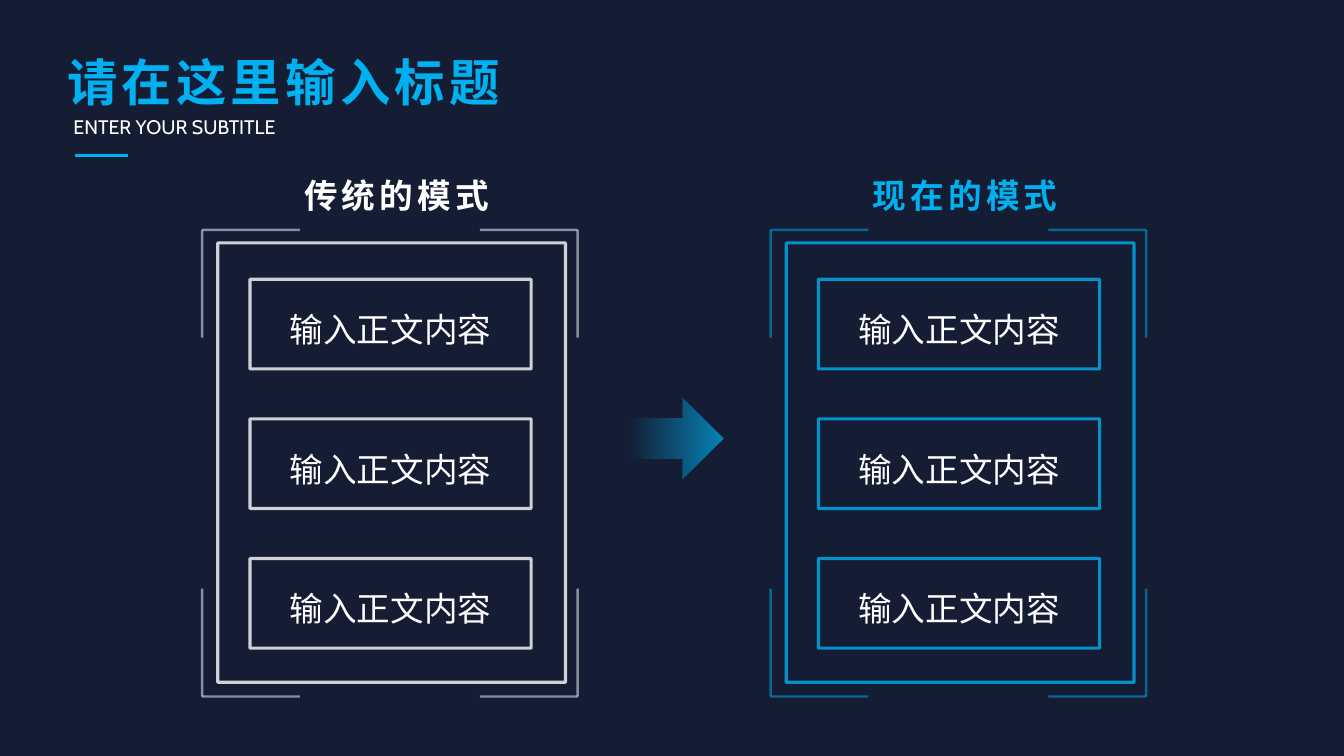
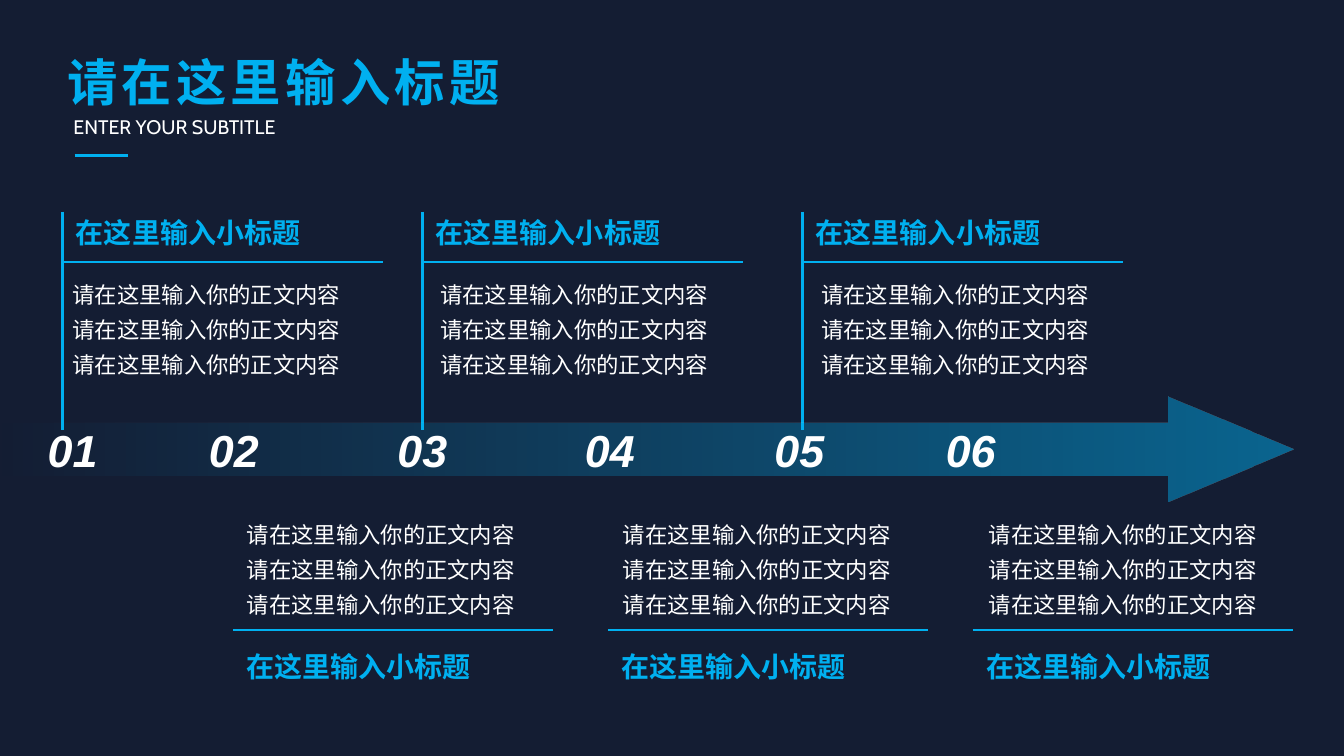
from itertools import product

from lxml.etree import SubElement
from pptx import Presentation
from pptx.dml.color import RGBColor as Color
from pptx.enum.shapes import MSO_CONNECTOR as Connector, MSO_SHAPE as Shape
from pptx.enum.text import MSO_ANCHOR as Anchor, PP_ALIGN as Align
from pptx.oxml.ns import qn
from pptx.util import Inches, Pt

COLORS = {"navy": "141D33", "cyan": "00B0F0", "white": "FFFFFF"}
CJK_FONT = "Noto Sans CJK JP"
COLUMNS, ROWS = 160, 90


def color(name):
    return Color.from_string(COLORS[name])


def set_opacity(shape, *percents):
    """Give the colours of a shape's fill or line their opacity, in order."""
    for node, percent in zip(shape.element.spPr.iter(qn("a:srgbClr")), percents):
        SubElement(node, qn("a:alpha"), val=str(percent * 1000))


class Deck:
    """Shared style and the current slide; lengths are grid columns and rows."""

    def __init__(self):
        self.presentation = Presentation()
        self.presentation.slide_width = Inches(13.333)
        self.presentation.slide_height = Inches(7.5)
        self.cell_width = self.presentation.slide_width / COLUMNS
        self.cell_height = self.presentation.slide_height / ROWS
        background = self.presentation.slide_master.background.fill
        background.solid()
        background.fore_color.rgb = color("navy")
        self.slide = None

    def x(self, columns):
        return round(columns * self.cell_width)

    def y(self, rows):
        return round(rows * self.cell_height)

    def box(self, left, top, width, height):
        return self.x(left), self.y(top), self.x(width), self.y(height)

    def new_slide(self, title, subtitle):
        layout = self.presentation.slide_layouts[6]
        self.slide = self.presentation.slides.add_slide(layout)
        self.text([title], (6.84, 6.24, 138, 7.8), 36, "cyan", bold=True,
                  spacing=3, line_spacing=0.9, anchor=Anchor.MIDDLE)
        self.text([subtitle], (7.56, 13.08, 30.12, 4.08), 14, font="Cabin")
        self.line((8.88, 18.48), (15.24, 18.48))

    def fill_frame(self, frame, lines, size, color_name="white", font=CJK_FONT,
                   bold=False, italic=False, spacing=0, line_spacing=None,
                   align=Align.LEFT, anchor=Anchor.TOP):
        frame.word_wrap = True
        frame.vertical_anchor = anchor
        for index, line in enumerate(lines):
            paragraph = frame.add_paragraph() if index else frame.paragraphs[0]
            paragraph.alignment = align
            if line_spacing:
                paragraph.line_spacing = line_spacing
            run = paragraph.add_run()
            run.text = line
            run.font.size = Pt(size)
            run.font.bold, run.font.italic = bold, italic
            run.font.color.rgb = color(color_name)
            run.font.name = font
            properties = run.font._element
            SubElement(properties, qn("a:ea"), typeface=font)
            if spacing:
                properties.set("spc", str(spacing * 100))

    def text(self, lines, area, size, color_name="white", **style):
        textbox = self.slide.shapes.add_textbox(*self.box(*area))
        self.fill_frame(textbox.text_frame, lines, size, color_name, **style)

    def line(self, start, end, color_name="cyan", width=2, opacity=100):
        connector = self.slide.shapes.add_connector(
            Connector.STRAIGHT, self.x(start[0]), self.y(start[1]),
            self.x(end[0]), self.y(end[1]))
        connector.line.color.rgb = color(color_name)
        connector.line.width = Pt(width)
        set_opacity(connector, opacity)
        SubElement(connector._element.spPr, qn("a:effectLst"))

    def outline(self, area, color_name, label=None):
        shape = self.slide.shapes.add_shape(Shape.RECTANGLE, *self.box(*area))
        shape.shadow.inherit = False
        shape.fill.background()
        shape.line.color.rgb = color(color_name)
        shape.line.width = Pt(2.25)
        set_opacity(shape, 80)
        if label:
            shape.text_frame.margin_top = self.y(1.2)
            shape.text_frame.margin_bottom = 0
            self.fill_frame(shape.text_frame, [label], 24, align=Align.CENTER,
                            anchor=Anchor.MIDDLE)

    def fading_arrow(self, area, opacity, fade_start=0, head=0.5):
        arrow = self.slide.shapes.add_shape(Shape.RIGHT_ARROW, *self.box(*area))
        arrow.shadow.inherit = False
        arrow.adjustments[1] = head
        arrow.line.fill.background()
        arrow.fill.gradient()
        arrow.fill.gradient_angle = 0
        for stop, position in zip(arrow.fill.gradient_stops, (fade_start, 1)):
            stop.position = position
            stop.color.rgb = color("cyan")
        set_opacity(arrow, 0, opacity)

    def corners(self, left, top, right, bottom, color_name):
        sides = ((left, 11.64), (right, -11.64))
        ends = ((top, 12.84), (bottom, -12.84))
        for (x, across), (y, along) in product(sides, ends):
            for tip in ((x + across, y), (x, y + along)):
                self.line((x, y), tip, color_name, 1.75, 50)

    def panel(self, left, heading, labels, color_name):
        self.outline((left, 28.92, 41.4, 52.32), color_name)
        self.corners(left - 1.86, 27.36, left + 42.84, 82.92, color_name)
        for index, label in enumerate(labels):
            self.outline((left + 3.84, 33.24 + index * 16.62, 33.48, 10.68),
                         color_name, label)
        self.text([heading], (left + 4.56, 20.28, 33.48, 6), 24, color_name,
                  bold=True, spacing=3, align=Align.CENTER)

    def milestone(self, left, indent, heading, body, rule, heading_top, body_top):
        self.line((left, rule), (left + 38.16, rule))
        self.text([heading], (left + 0.42, heading_top, 34.56, 5.28), 20,
                  "cyan", bold=True)
        self.text(body, (left + indent, body_top, 38.16, 13.44), 16,
                  line_spacing=1.3)


def main():
    deck = Deck()
    header = ("请在这里输入标题", "ENTER YOUR SUBTITLE")

    # Comparison of two models
    deck.new_slide(*header)
    labels = ["输入正文内容"] * 3
    deck.panel(25.92, "传统的模式", labels, "white")
    deck.fading_arrow((73.56, 47.28, 12.6, 9.84), 70, fade_start=0.11)
    deck.panel(93.6, "现在的模式", labels, "cyan")

    # Timeline: milestones above and below the arrow
    deck.new_slide(*header)
    heading = "在这里输入小标题"
    body = ["请在这里输入你的正文内容"] * 3
    for left, indent in ((7.44, 0), (50.28, 0.96), (95.52, 1.08)):
        deck.line((left, 25.2), (left, 51.24))
        deck.milestone(left, indent, heading, body, 31.2, 25.08, 31.92)
    for left, indent in ((27.72, 0.48), (72.36, 0.6), (115.8, 0.72)):
        deck.milestone(left, indent, heading, body, 75, 76.68, 60.48)

    # Timeline arrow and its numbers
    deck.fading_arrow((-1.44, 47.16, 155.4, 12.6), 50, head=1.19)
    number_lefts = (3.72, 22.92, 45.36, 67.68, 90.24, 110.64)
    for number, left in enumerate(number_lefts, start=1):
        deck.text([f"{number:02}"], (left, 49.68, 9.84, 7.68), 32,
                  font="Arial", bold=True, italic=True, align=Align.CENTER)

    deck.presentation.save("out.pptx")


if __name__ == "__main__":
    main()
